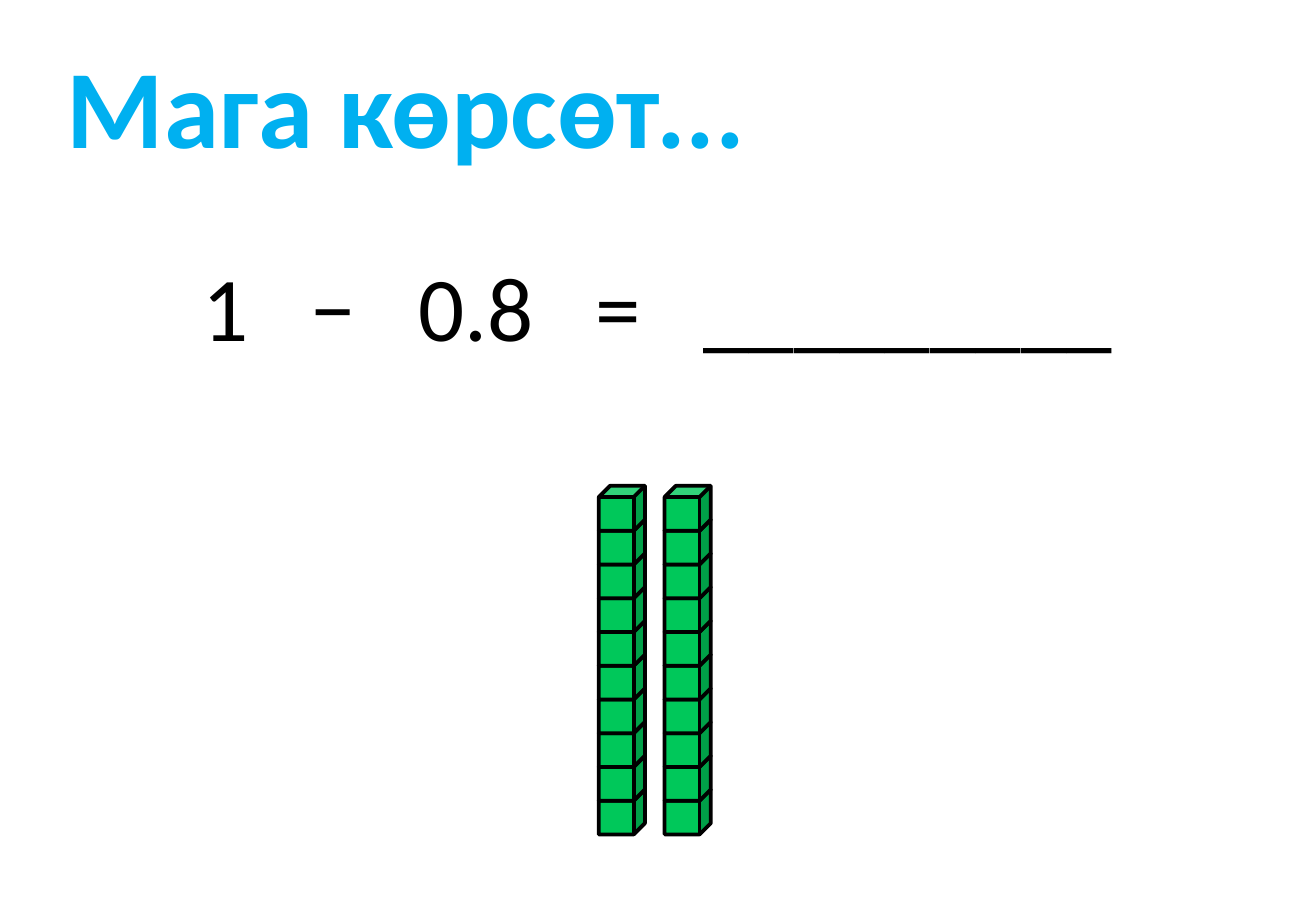
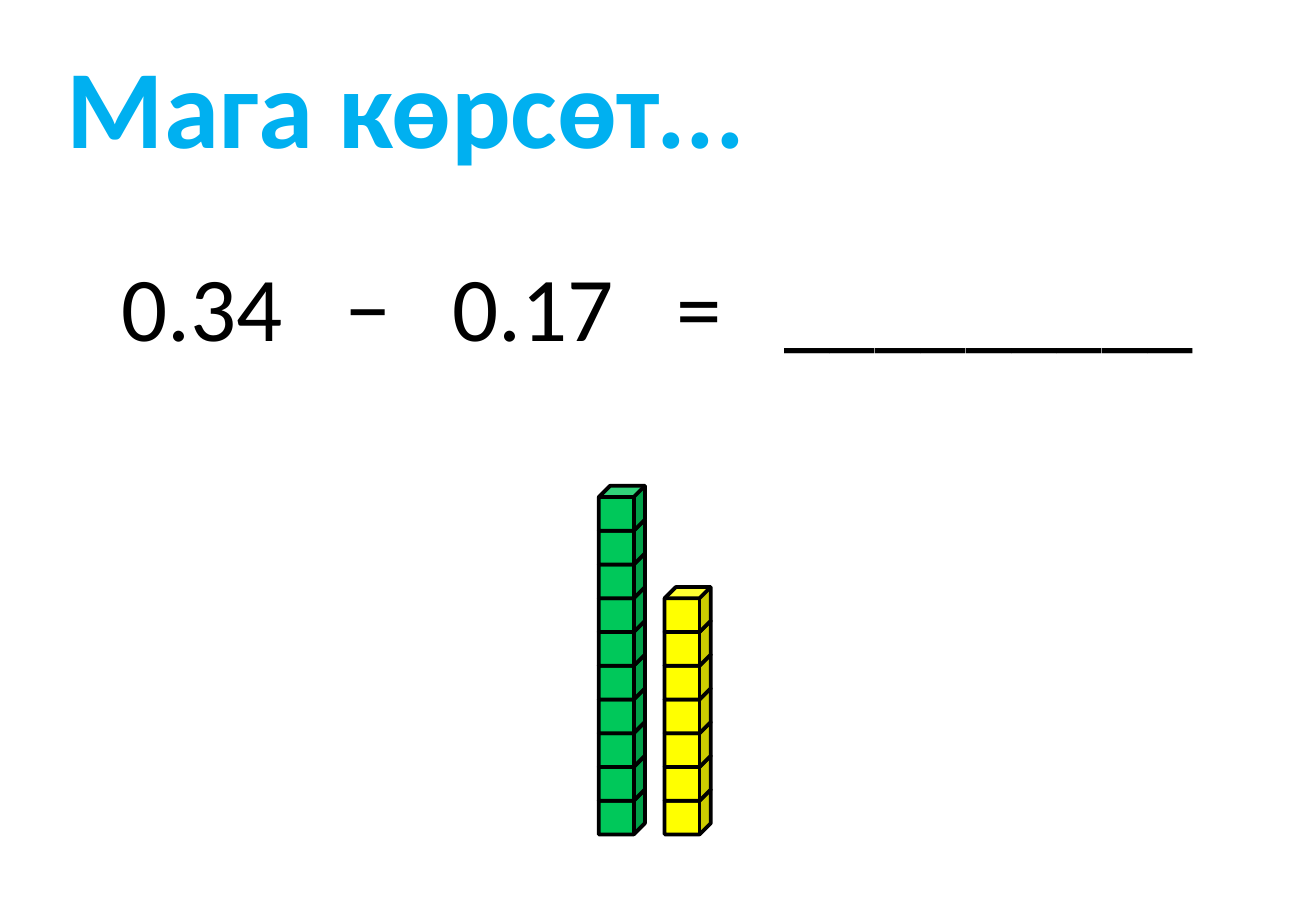
from pptx import Presentation
from pptx.dml.color import RGBColor
from pptx.enum.shapes import MSO_SHAPE
from pptx.oxml.ns import qn
from pptx.util import Inches, Pt
from lxml.etree import SubElement

# Shared look
COLORS = {"title": "00B0F0", "ink": "000000", "green": "00C85A", "yellow": "FFFF00"}
FONT = "Calibri"
W, H = 10.83, 7.5
ROW = H / 27                        # height of one stacked cube
TOWER_LEFT, TOWER_STEP = 0.455 * W, 0.05 * W
CUBE_W, CUBE_H = 0.38, 0.37
BASE = 23.4 * ROW                   # top of the lowest cube
INSET = 0.1

# Equation metrics, as shares of the text size
EQ_SIZE = 54
EM = EQ_SIZE / 72
DIGIT, DOT, SIGN, GAP = 0.51, 0.25, 0.5, 0.68

SLIDES = [
    (["1", "−", "0.8", "=", "_________"], [("green", 10), ("green", 10)]),
    (["0.34", "−", "0.17", "=", "_________"], [("green", 10), ("yellow", 7)]),
]


def add_text(s, text, left, top, width, height, size, color, bold=False):
    tf = s.shapes.add_textbox(Inches(left), Inches(top), Inches(width), Inches(height)).text_frame
    tf.word_wrap = True
    p = tf.paragraphs[0]
    p.text = text
    for r in p.runs:
        r.font.name, r.font.size, r.font.bold = FONT, Pt(size), bold
        r.font.color.rgb = RGBColor.from_string(COLORS[color])
    return tf


def text_width(part):
    return EM * sum(DIGIT if c.isdigit() else DOT if c == "." else SIGN for c in part)


prs = Presentation()
prs.slide_width, prs.slide_height = Inches(W), Inches(H)

for parts, towers in SLIDES:
    s = prs.slides.add_slide(prs.slide_layouts[6])

    # Equation: centred as a whole, parts spaced by tab stops
    stops, end = [], 0
    for part in parts:
        stops.append(end)
        end += text_width(part) + GAP * EM
    total = end - GAP * EM
    tf = add_text(s, "\t".join(parts), (W - total) / 2 - INSET, 0.268 * H,
                  total + 4 * INSET, 1.01, EQ_SIZE, "ink")
    tab_list = SubElement(tf.paragraphs[0]._p.get_or_add_pPr(), qn("a:tabLst"))
    for stop in stops[1:]:
        SubElement(tab_list, qn("a:tab"), pos=str(Inches(stop)), algn="l")

    # Towers of cubes, stacked from the bottom up
    for col, (color, count) in enumerate(towers):
        tower = s.shapes.add_group_shape()
        for level in range(count):
            cube = tower.shapes.add_shape(
                MSO_SHAPE.CUBE, Inches(TOWER_LEFT + col * TOWER_STEP),
                Inches(BASE - level * ROW), Inches(CUBE_W), Inches(CUBE_H))
            cube.shadow.inherit = False
            cube.fill.solid()
            cube.fill.fore_color.rgb = RGBColor.from_string(COLORS[color])
            cube.line.color.rgb = RGBColor.from_string(COLORS["ink"])
            cube.line.width = Pt(2.25)

    # Title
    tf = add_text(s, "Мага көрсөт...", 0.24, 0.26, 7.54, 1.21, 66, "title", bold=True)
    tf.margin_left = Inches(0.31)

prs.save("out.pptx")
